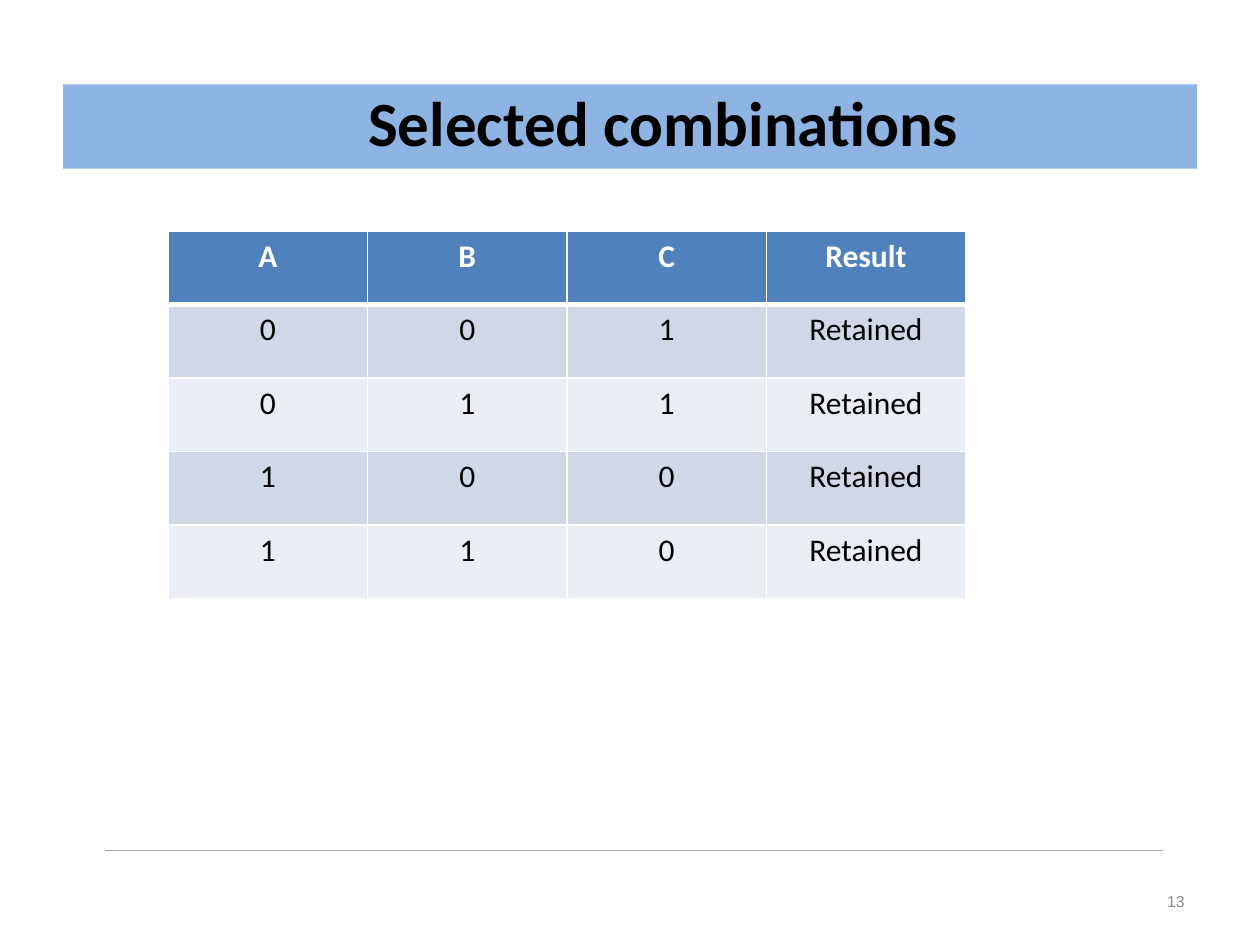
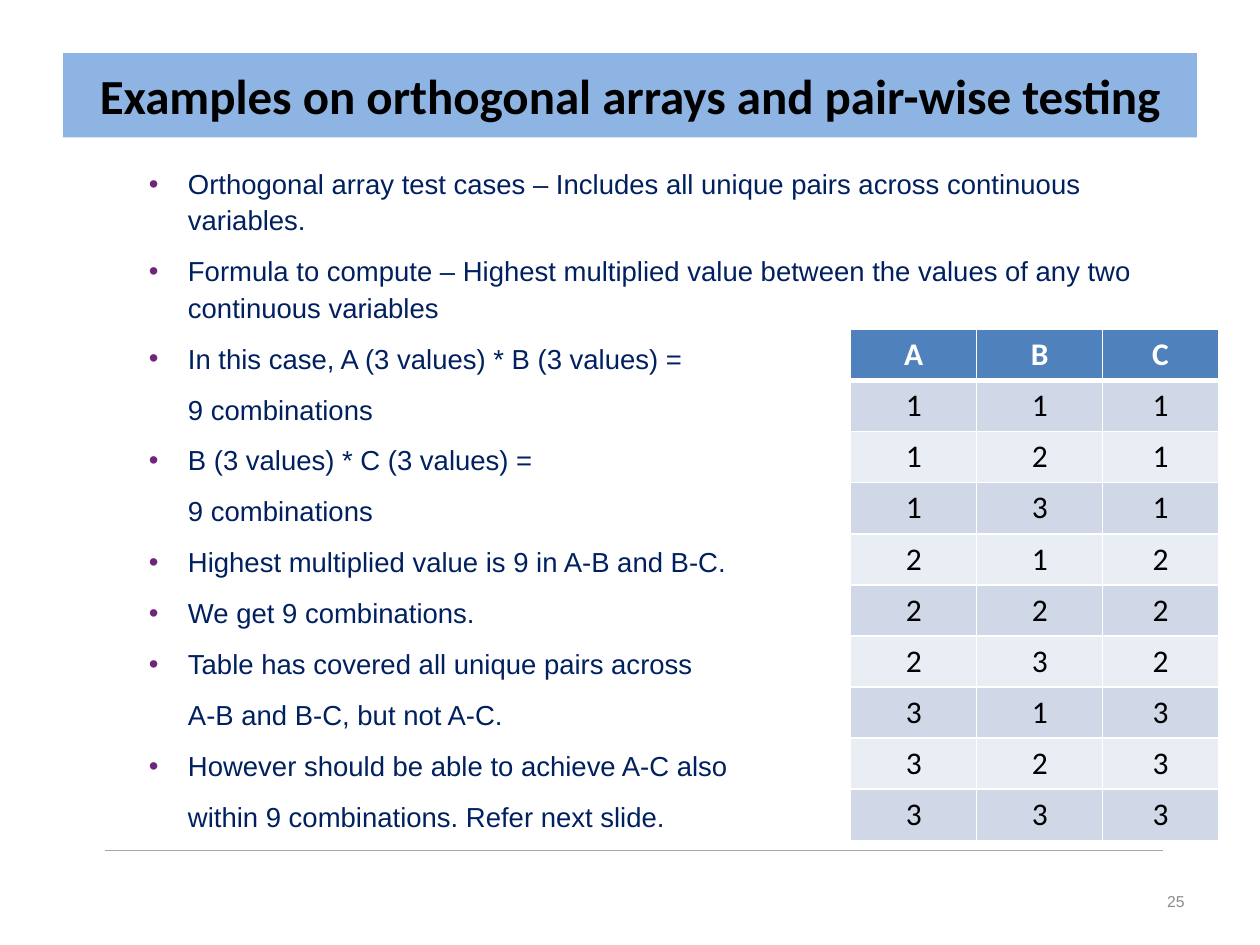
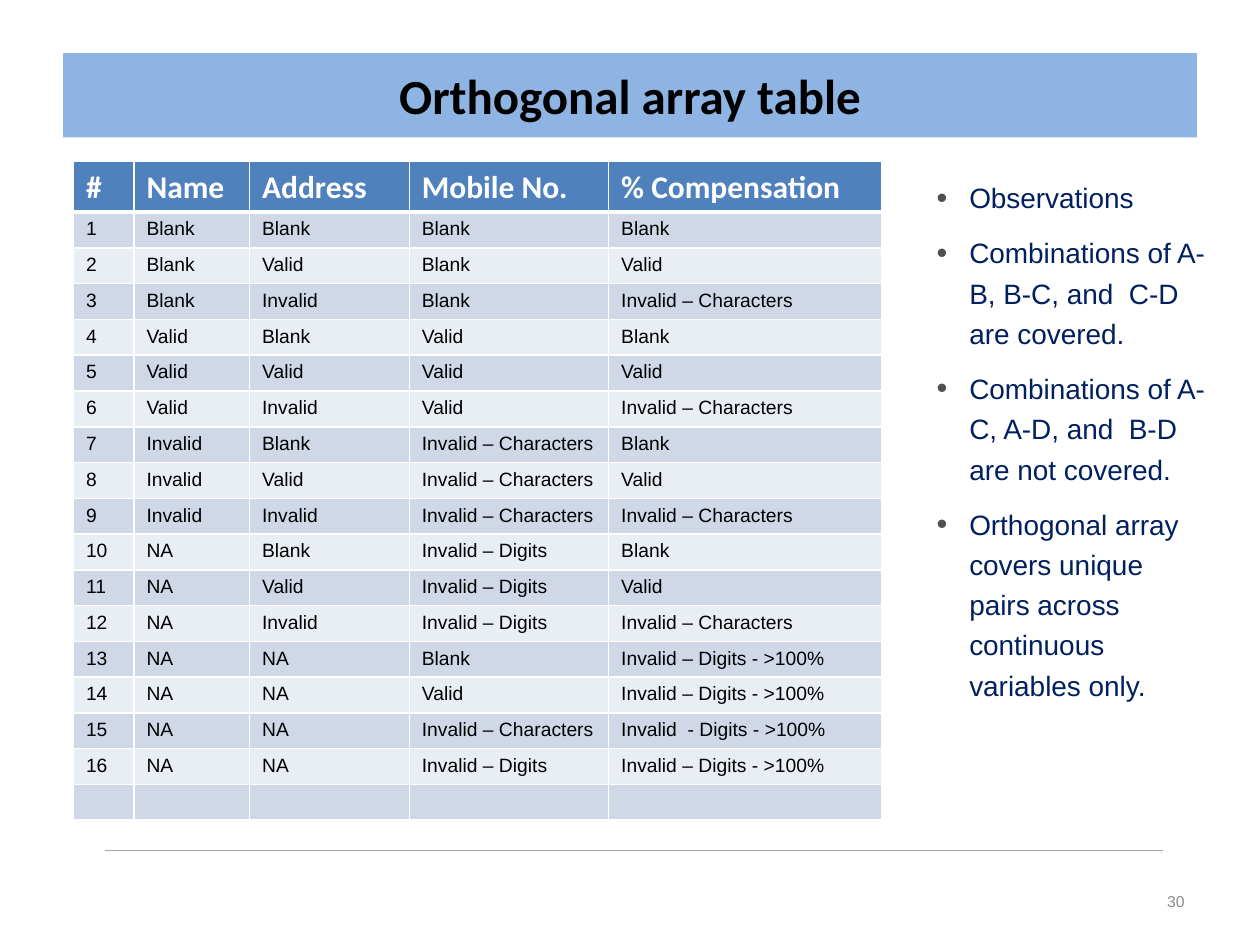
"""Builds three slides on orthogonal arrays and pair-wise testing."""
from itertools import product

from lxml import etree
from pptx import Presentation
from pptx import util as u
from pptx.dml.color import RGBColor
from pptx.enum import shapes, text
from pptx.oxml.ns import qn

COLORS = {
    "band": "8EB4E3", "ink": "000000", "navy": "002060", "white": "FFFFFF",
    "rule": "A6A6A6", "number": "8C8C8C", "header": "4F81BD",
    "odd": "D0D8E8", "even": "E9EDF4", "purple": "6E267B", "slate": "4D4F53",
}
CENTER, RIGHT = text.PP_ALIGN.CENTER, text.PP_ALIGN.RIGHT


def write(paragraph, words, size=18, font="Calibri", color="ink", bold=False,
          align=None, spacing=None, before=None):
    """Write words into a paragraph with the given format."""
    paragraph.alignment = align
    paragraph.line_spacing = spacing
    if before is not None:
        paragraph.space_before = u.Pt(before)
    if not words:
        paragraph._p.get_or_add_endParaRPr().set("sz", str(int(size * 100)))
        return
    run = paragraph.add_run()
    run.text = words
    run.font.size, run.font.name, run.font.bold = u.Pt(size), font, bold
    run.font.color.rgb = RGBColor.from_string(COLORS[color])


def add_child(parent, tag, **attributes):
    """Append a DrawingML element to its parent."""
    child = etree.SubElement(parent, qn(f"a:{tag}"))
    for key, value in attributes.items():
        child.set(key, str(value))
    return child


def set_bullet(paragraph, color, scale):
    """Give a paragraph a round bullet of a colour and a percentage size."""
    props = paragraph._p.get_or_add_pPr()
    add_child(add_child(props, "buClr"), "srgbClr", val=COLORS[color])
    add_child(props, "buSzPct", val=scale * 1000)
    add_child(props, "buFont", typeface="Arial")
    add_child(props, "buChar", char="•")


def set_borders(cell, top, bottom):
    """Draw white borders round a cell, with widths in points."""
    props = cell._tc.get_or_add_tcPr()
    for side, width in (("L", 1), ("R", 1), ("T", top), ("B", bottom)):
        line = add_child(props, f"ln{side}", w=u.Pt(width))
        add_child(add_child(line, "solidFill"), "srgbClr", val=COLORS["white"])


def add_title(slide, words, top, size, indent, spacing):
    """Turn the title placeholder into the blue band."""
    title = slide.shapes.title
    title.left, title.top = u.Cm(1.27), u.Cm(top)
    title.width, title.height = u.Cm(22.86), u.Cm(1.7)
    title.fill.solid()
    title.fill.fore_color.rgb = RGBColor.from_string(COLORS["band"])
    frame = title.text_frame
    frame.auto_size = text.MSO_AUTO_SIZE.NONE
    frame.vertical_anchor = text.MSO_ANCHOR.MIDDLE
    frame.margin_left = u.Cm(0.25 + indent)
    write(frame.paragraphs[0], words, size=size, bold=True, align=CENTER,
          spacing=spacing)


def add_footer(slide, number):
    """Draw the footer rule and the slide number."""
    rule = slide.shapes.add_connector(
        shapes.MSO_CONNECTOR.STRAIGHT,
        u.Cm(2.12), u.Cm(17.15), u.Cm(23.45), u.Cm(17.15))
    rule.line.color.rgb = RGBColor.from_string(COLORS["rule"])
    rule.line.width = u.Pt(0.75)
    add_child(rule._element.spPr, "effectLst")
    corner = slide.shapes.add_textbox(
        u.Cm(18.2), u.Cm(17.65), u.Cm(5.93), u.Cm(1.02)).text_frame
    corner.word_wrap = True
    corner.vertical_anchor = text.MSO_ANCHOR.MIDDLE
    write(corner.paragraphs[0], str(number), size=9, font="Arial",
          color="number", align=RIGHT)


def add_page(deck, words, number, top=1.07, size=28, indent=0, spacing=1.0):
    """Add a slide with its title band and footer."""
    slide = deck.slides.add_slide(deck.slide_layouts[5])
    add_title(slide, words, top, size, indent, spacing)
    add_footer(slide, number)
    return slide


def add_bullets(slide, box, points, margin, hanging, bullet, scale=100,
                **style):
    """Fill a box with points; later lines of a point carry no bullet."""
    frame = slide.shapes.add_textbox(*map(u.Cm, box)).text_frame
    frame.word_wrap = True
    lines = [(line, i == 0) for point in points
             for i, line in enumerate(point.split("\n"))]
    for i, (line, starts) in enumerate(lines):
        paragraph = frame.add_paragraph() if i else frame.paragraphs[0]
        write(paragraph, line, font="Arial", color="navy", before=8.4, **style)
        props = paragraph._p.get_or_add_pPr()
        props.set("marL", str(u.Cm(margin)))
        props.set("indent", str(-u.Cm(hanging) if starts else 0))
        if starts:
            set_bullet(paragraph, bullet, scale)


def add_grid(slide, left, top, widths, height, rows, **body):
    """Draw a banded table whose first row is the header."""
    grid = slide.shapes.add_table(
        len(rows), len(widths), u.Cm(left), u.Cm(top),
        u.Cm(sum(widths)), u.Cm(height * len(rows))).table
    for column, width in zip(grid.columns, widths):
        column.width = u.Cm(width)
    header = {"align": body.get("align"), "color": "white", "bold": True}
    for r, values in enumerate(rows):
        grid.rows[r].height = u.Cm(height)
        shade = ("odd" if r % 2 else "even") if r else "header"
        for c, value in enumerate(values):
            cell = grid.cell(r, c)
            set_borders(cell, 3 if r == 1 else 1, 1 if r else 3)
            cell.fill.solid()
            cell.fill.fore_color.rgb = RGBColor.from_string(COLORS[shade])
            write(cell.text_frame.paragraphs[0], str(value),
                  **(body if r else header))


def build_combinations(deck):
    """Build the slide of retained combinations."""
    slide = add_page(deck, "Selected combinations", 13, top=1.7, size=36,
                     indent=1.35, spacing=0.9)
    retained = [(*digits, "Retained") for digits in ("001", "011", "100", "110")]
    add_grid(slide, 3.39, 4.66, [4.02] * 4, 1.48,
             [("A", "B", "C", "Result"), *retained], align=CENTER)


def build_examples(deck):
    """Build the slide that explains the nine combinations."""
    slide = add_page(
        deck, "Examples on orthogonal arrays and pair-wise testing", 25)
    points = [
        "Orthogonal array test cases – Includes all unique pairs across "
        "continuous variables.",
        "Formula to compute – Highest multiplied value between the values of "
        "any two continuous variables",
        "In this case, A (3 values) * B (3 values) =\n9 combinations",
        "B (3 values) * C (3 values) =\n9 combinations",
        "Highest multiplied value is 9 in A-B and B-C.",
        "We get 9 combinations.",
        "Table has covered all unique pairs across\nA-B and B-C, but not A-C.",
        "However should be able to achieve A-C also\n"
        "within 9 combinations. Refer next slide.",
    ]
    add_bullets(slide, (1.48, 3.18, 22.86, 13.97), points, 2.06, 0.79,
                "purple", size=15.7, spacing=1.1)
    pairs = [(a, b, a) for a, b in product((1, 2, 3), repeat=2)]
    add_grid(slide, 17.15, 6.64, [2.54, 2.54, 2.33], 1.03,
             [("A", "B", "C"), *pairs], align=CENTER)


def build_array(deck):
    """Build the slide of the full orthogonal array."""
    slide = add_page(deck, "Orthogonal array table", 30)
    letters, digits = "Invalid – Characters", "Invalid – Digits"
    mobiles = ["Blank", "Valid", letters, digits]
    people = zip(["Blank", "Valid", "Invalid", "NA"], mobiles)
    places = [("Blank", "Blank"), ("Valid", "Valid"), ("Invalid", letters)]
    cases = [(name, address, mobile, compensation)
             for (name, mobile), (address, compensation)
             in product(people, places)]
    cases += [("NA", "NA", mobile,
               f"Invalid {' -' if mobile == letters else '–'} Digits - >100%")
              for mobile in mobiles]
    rows = [("#", "Name", "Address", "Mobile No.", "% Compensation")]
    rows += [(i, *case) for i, case in enumerate(cases, 1)]
    rows.append([""] * 5)
    add_grid(slide, 1.48, 3.26, [1.22, 2.33, 3.22, 4.02, 5.5], 0.71, rows,
             size=11, font="Arial")
    observations = [
        "Observations",
        "Combinations of A-B, B-C, and  C-D are covered.",
        "Combinations of A-C, A-D, and  B-D are not covered.",
        "Orthogonal array covers unique pairs across continuous variables only.",
    ]
    add_bullets(slide, (17.99, 3.39, 6.56, 12.9), observations, 1.3, 0.66,
                "slate", scale=110, size=16, spacing=1.2)


def main():
    """Build and save the deck."""
    deck = Presentation()
    deck.slide_width, deck.slide_height = u.Cm(25.4), u.Cm(19.05)
    for build in (build_combinations, build_examples, build_array):
        build(deck)
    deck.save("out.pptx")


if __name__ == "__main__":
    main()
